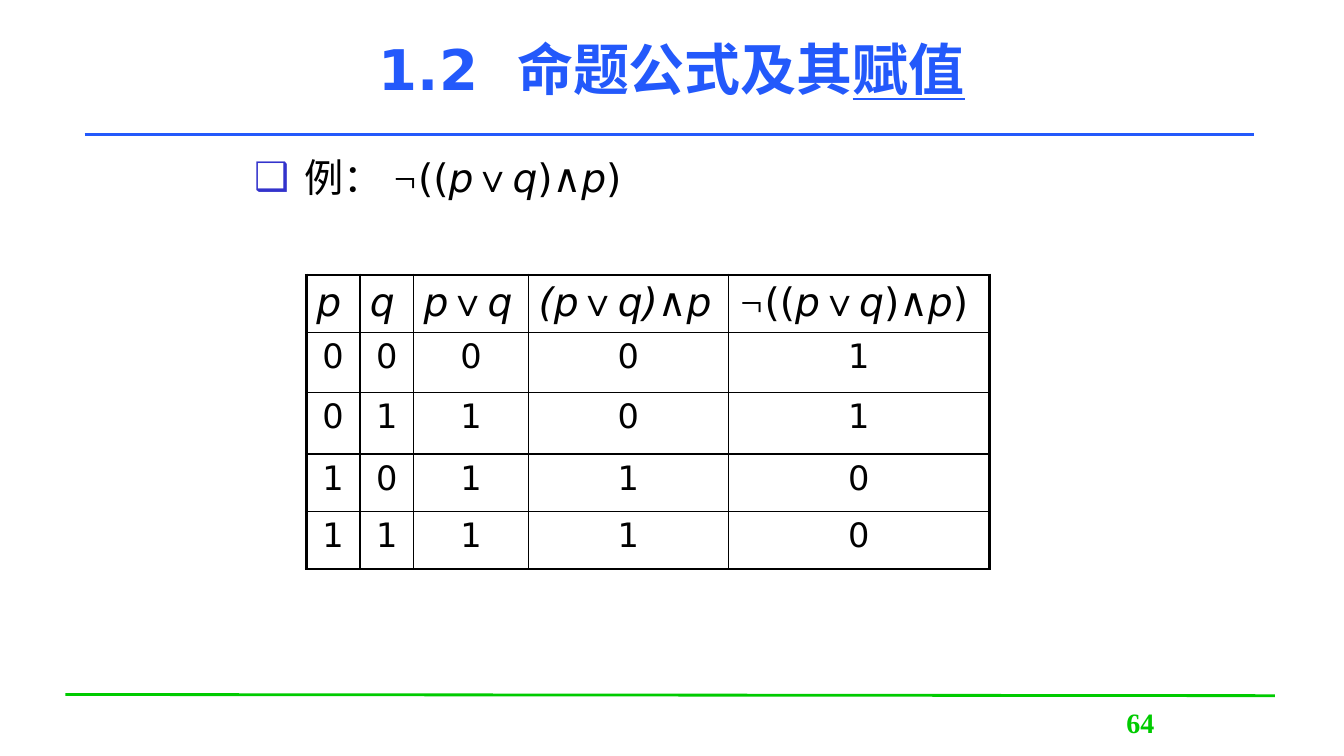
from itertools import groupby, product

from lxml.etree import SubElement
from pptx import Presentation
from pptx.dml.color import RGBColor
from pptx.enum.lang import MSO_LANGUAGE_ID
from pptx.enum.shapes import MSO_CONNECTOR
from pptx.enum.text import MSO_ANCHOR, MSO_AUTO_SIZE, PP_ALIGN
from pptx.oxml.ns import qn
from pptx.util import Cm, Pt

SANS, SERIF = "DejaVu Sans", "Times New Roman"
BLACK, BLUE, GREEN, VIOLET = "000000", "2359FB", "00CB00", "3333CC"


def color(hex_string):
    return RGBColor.from_string(hex_string)


def place(shape, left, top, width, height):
    shape.left, shape.top = Cm(left), Cm(top)
    shape.width, shape.height = Cm(width), Cm(height)


class SlideBuilder:
    def __init__(self, slide):
        self.slide = slide

    def run(self, paragraph, text, size, font=SANS, fill=BLACK, **style):
        run = paragraph.add_run()
        run.text = text
        run.font.size, run.font.name = Pt(size), font
        run.font.color.rgb = color(fill)
        run.font.language_id = MSO_LANGUAGE_ID.SIMPLIFIED_CHINESE
        for name, value in style.items():
            setattr(run.font, name, value)
        return run

    def formula(self, paragraph, text, italic="pq¬"):
        """Write a formula, with one run for each stretch of like symbols."""
        def symbol_style(symbol):
            return SERIF if symbol in "¬∨" else SANS, symbol in italic

        for (font, slanted), symbols in groupby(text, symbol_style):
            self.run(paragraph, "".join(symbols), 28, font, italic=slanted)

    def line(self, start, end, fill):
        points = [Cm(value) for value in (*start, *end)]
        connector = self.slide.shapes.add_connector(MSO_CONNECTOR.STRAIGHT, *points)
        connector.line.color.rgb = color(fill)
        connector.line.width = Pt(2)
        SubElement(connector._element.spPr, qn("a:effectLst"))

    def title(self, number, text, underlined):
        title = self.slide.shapes.title
        place(title, 2.54, 0.13, 28.78, 3.18)
        frame = title.text_frame
        frame.auto_size = MSO_AUTO_SIZE.NONE
        frame.vertical_anchor = MSO_ANCHOR.MIDDLE
        paragraph = frame.paragraphs[0]
        paragraph.alignment = PP_ALIGN.CENTER
        self.run(paragraph, number, 40, fill=BLUE, bold=True)
        gap = self.run(paragraph, " ", 40, fill=BLUE, bold=True)
        gap.font._element.set("spc", "1400")
        self.run(paragraph, text, 40, fill=BLUE, bold=True)
        self.run(paragraph, underlined, 40, fill=BLUE, bold=True, underline=True)

    def example(self, label, formula):
        body = self.slide.placeholders[1]
        place(body, 6.15, 3.73, 22, 13.59)
        body.text_frame.auto_size = MSO_AUTO_SIZE.NONE
        paragraph = body.text_frame.paragraphs[0]
        paragraph.space_before = Pt(0)
        properties = paragraph._p.get_or_add_pPr()
        properties.set("marL", str(Cm(1.27)))
        properties.set("indent", str(Cm(-1.27)))
        bullet_color = SubElement(properties, qn("a:buClr"))
        SubElement(bullet_color, qn("a:srgbClr"), val=VIOLET)
        SubElement(properties, qn("a:buChar"), char="❑")
        self.run(paragraph, label, 28, SERIF)
        self.formula(paragraph, formula)

    def page_number(self, text):
        box = self.slide.shapes.add_textbox(Cm(26.06), Cm(17.65), Cm(5.36), Cm(1.27))
        box.text_frame.word_wrap = True
        paragraph = box.text_frame.paragraphs[0]
        paragraph.alignment = PP_ALIGN.CENTER
        paragraph.space_before = Pt(10)
        self.run(paragraph, text, 20, SERIF, GREEN, bold=True)

    def cell_borders(self, cell, outer_sides):
        properties = cell._tc.get_or_add_tcPr()
        for side, outer in outer_sides.items():
            width = Pt(2.25 if outer else 1)
            border = SubElement(properties, qn(f"a:ln{side}"), w=str(width))
            fill = SubElement(border, qn("a:solidFill"))
            SubElement(fill, qn("a:srgbClr"), val=BLACK)
        cell.fill.background()

    def truth_table(self, headers, rows, widths, heights):
        last_row, last_column = len(heights) - 1, len(widths) - 1
        table = self.slide.shapes.add_table(
            len(heights), len(widths), Cm(7.72), Cm(6.93),
            Cm(sum(widths)), Cm(sum(heights))).table
        table.first_row = table.horz_banding = False
        for column, width in zip(table.columns, widths):
            column.width = Cm(width)
        for row, height in zip(table.rows, heights):
            row.height = Cm(height)
        for i, j in product(range(len(heights)), range(len(widths))):
            cell = table.cell(i, j)
            paragraph = cell.text_frame.paragraphs[0]
            if i == 0:
                self.formula(paragraph, *headers[j])
            else:
                paragraph.alignment = PP_ALIGN.CENTER
                self.run(paragraph, str(int(rows[i - 1][j])), 24)
            self.cell_borders(cell, {"L": j == 0, "R": j == last_column,
                                     "T": i == 0, "B": i == last_row})


def main():
    presentation = Presentation()
    presentation.slide_width, presentation.slide_height = Cm(33.87), Cm(19.05)
    builder = SlideBuilder(presentation.slides.add_slide(presentation.slide_layouts[1]))

    builder.line((1.65, 17.5), (32.13, 17.53), GREEN)
    builder.line((2.13, 3.38), (31.6, 3.38), BLUE)
    builder.page_number("64")
    builder.title("1.2", "命题公式及其", "赋值")
    formula = "¬((p∨q)∧p)"
    builder.example("例： ", formula)
    headers = [("p",), ("q",), ("p∨q",), ("(p∨q)∧p", "pq()"), (formula,)]
    rows = [(p, q, p or q, (p or q) and p, not ((p or q) and p))
            for p, q in product((0, 1), repeat=2)]
    builder.truth_table(headers, rows, widths=(1.35, 1.35, 2.9, 5.03, 6.58),
                        heights=(1.4, 1.52, 1.55, 1.45, 1.45))
    presentation.save("out.pptx")


if __name__ == "__main__":
    main()
